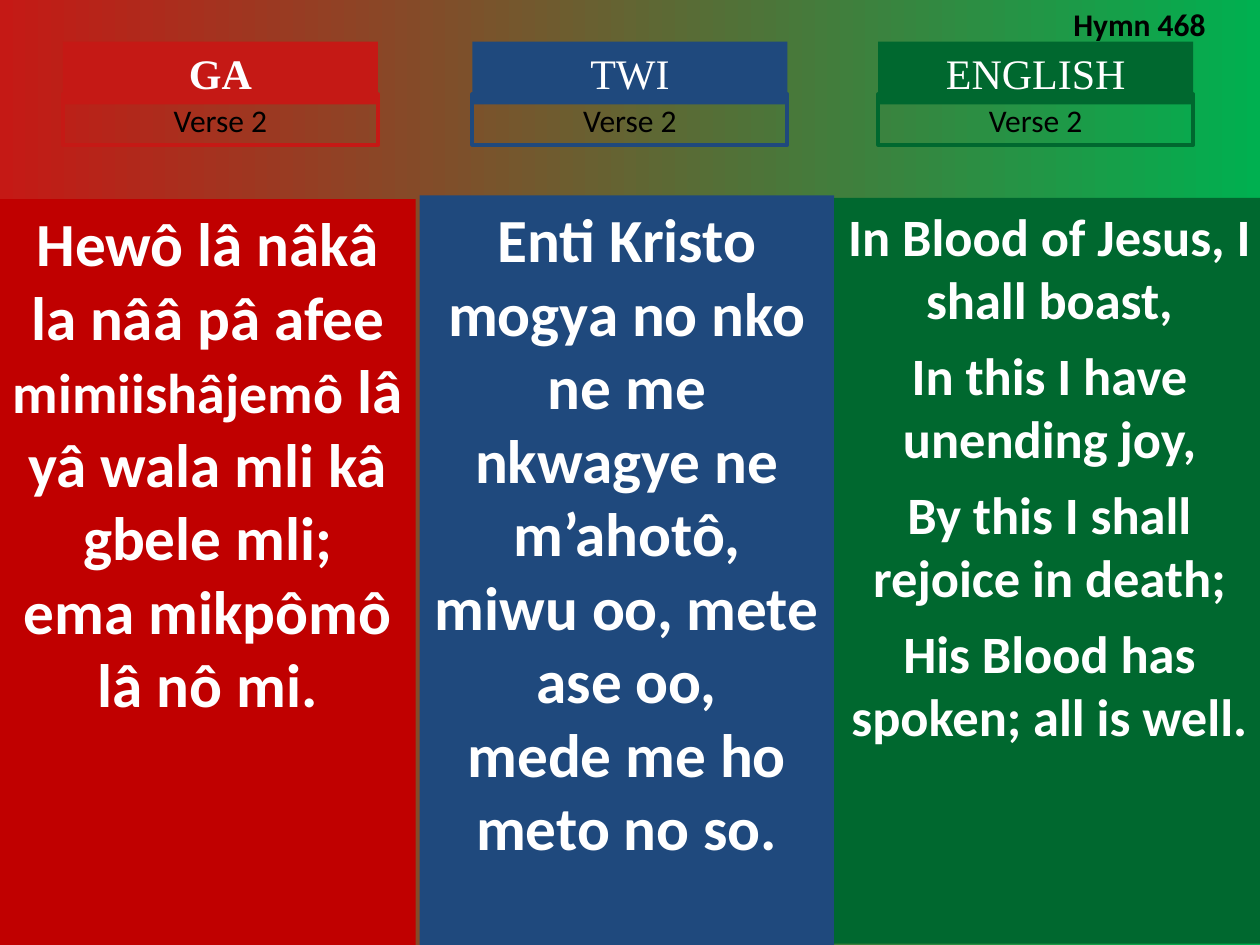
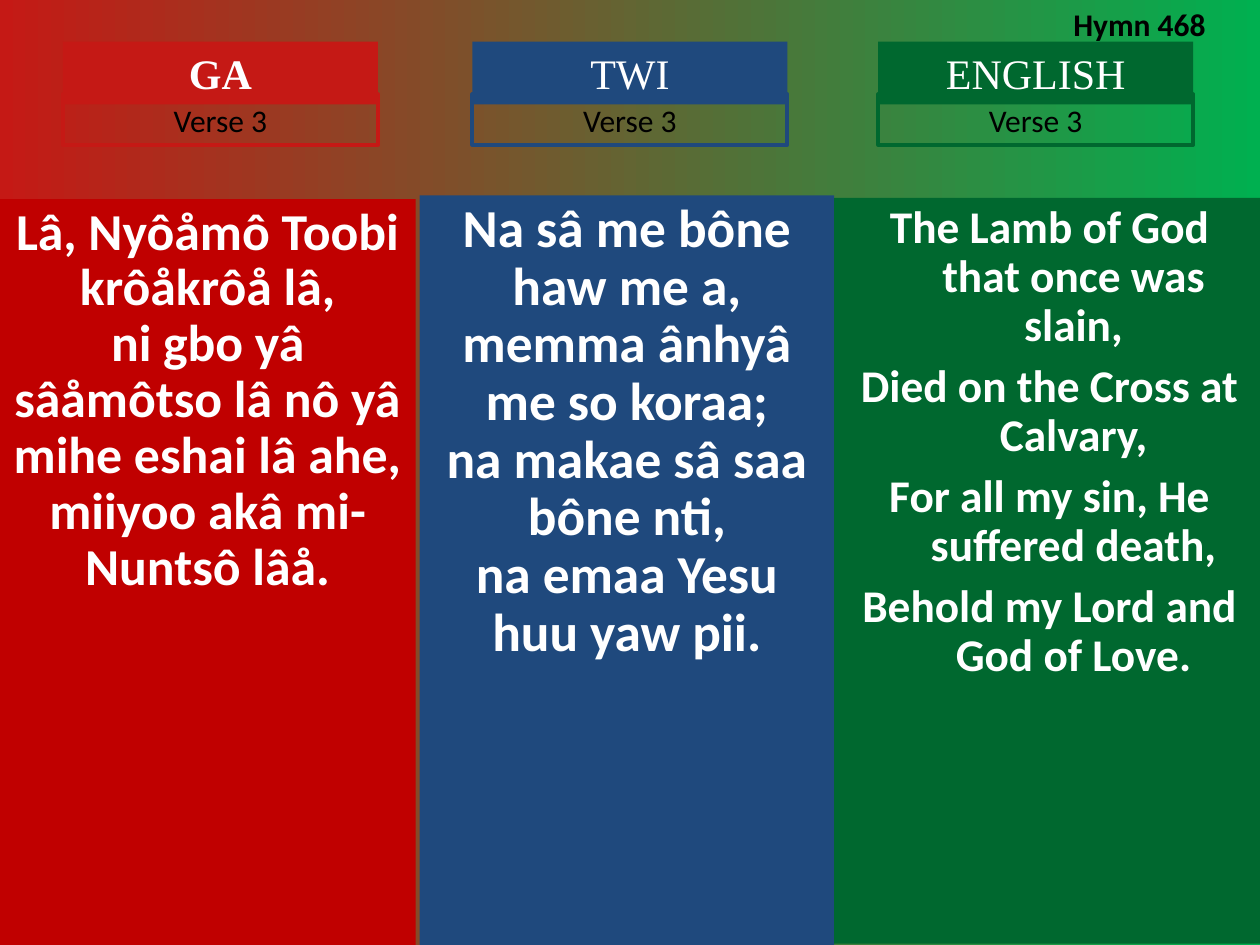
from pptx import Presentation
from pptx.dml.color import RGBColor
from pptx.enum.shapes import MSO_SHAPE as Shape
from pptx.enum.text import MSO_ANCHOR as Anchor, MSO_AUTO_SIZE as AutoSize, PP_ALIGN as Align
from pptx.util import Inches, Pt

COLORS = {
    "red": "C51915", "dark_red": "C00000", "blue": "1F497D", "green": "00682F",
    "bright_green": "00B050", "white": "FFFFFF", "black": "000000",
}
BODY_FONT, HEAD_FONT = "Calibri", "Times New Roman"

# language, bold heading, heading colour, panel colour, heading left, panel box
COLUMNS = [
    ("GA", True, "red", "dark_red", 0.5, (0, 1.58, 3.3, 5.92)),
    ("TWI", False, "blue", "blue", 3.75, (3.33, 1.55, 3.29, 5.95)),
    ("ENGLISH", False, "green", "green", 6.97, (6.62, 1.57, 3.42, 5.92)),
]

# Each lyric: the paragraph style, then its lines; a line is text or (text, size) runs.
VERSES = {
    "Verse 2": [
        (dict(size=35), [
            [("Hewô lâ nâkâ la nââ pâ afee ", 35), ("mimiishâjemô", 32), (" lâ", 35)],
            "yâ wala mli kâ gbele mli;",
            "ema mikpômô lâ nô mi.",
        ]),
        (dict(size=35), [
            "Enti Kristo mogya no nko",
            "ne me nkwagye ne m’ahotô,",
            "miwu oo, mete ase oo,",
            "mede me ho meto no so.",
        ]),
        (dict(size=30, before=7.5), [
            "In Blood of Jesus, I shall boast,",
            "In this I have unending joy,",
            "By this I shall rejoice in death;",
            "His Blood has spoken; all is well.",
        ]),
    ],
    "Verse 3": [
        (dict(size=29.6, spacing=0.9), [
            "Lâ, Nyôåmô Toobi krôåkrôå lâ,",
            "ni gbo yâ sâåmôtso lâ nô yâ",
            "mihe eshai lâ ahe,",
            "miiyoo akâ mi-Nuntsô lâå.",
        ]),
        (dict(size=30.5, spacing=0.9), [
            "Na sâ me bône haw me a,",
            "memma ânhyâ me so koraa;",
            "na makae sâ saa bône nti,",
            "na emaa Yesu huu yaw pii.",
        ]),
        (dict(size=25.9, spacing=0.9, before=7, hanging=0.38), [
            "The Lamb of God that once was slain,",
            "Died on the Cross at Calvary,",
            "For all my sin, He suffered death,",
            "Behold my Lord and God of Love.",
        ]),
    ],
}


def rgb(name):
    return RGBColor.from_string(COLORS[name])


def add_run(p, text, size, color, font=BODY_FONT, bold=False):
    r = p.add_run()
    r.text = text
    r.font.name, r.font.size, r.font.bold = font, Pt(size), bold
    r.font.color.rgb = rgb(color)


def add_box(s, box, fill=None, line=None):
    sp = s.shapes.add_shape(Shape.RECTANGLE, *map(Inches, box))
    sp.shadow.inherit = False
    if fill:
        sp.fill.solid()
        sp.fill.fore_color.rgb = rgb(fill)
    else:
        sp.fill.background()
    if line:
        sp.line.color.rgb = rgb(line)
        sp.line.width = Pt(2.25)
    else:
        sp.line.fill.background()
    tf = sp.text_frame
    tf.word_wrap = True
    tf.vertical_anchor = Anchor.TOP
    tf.paragraphs[0].alignment = Align.CENTER
    return tf


def add_background(s):
    fill = s.background.fill
    fill.gradient()
    fill.gradient_angle = 0
    for stop, (position, color) in zip(fill.gradient_stops, [(0, "red"), (1, "bright_green")]):
        stop.position = position
        stop.color.rgb = rgb(color)


def add_heading(s, left, top, language, bold, color, verse):
    """Language band with the outlined verse label beneath it."""
    band = add_box(s, (left, top, 2.5, 0.5), fill=color)
    add_run(band.paragraphs[0], language, 24, "white", HEAD_FONT, bold)
    label = add_box(s, (left, top + 0.42, 2.5, 0.4), line=color)
    add_run(label.paragraphs[0], verse, 18, "black")
    for tf in (band, label):
        tf.auto_size = AutoSize.SHAPE_TO_FIT_TEXT


def add_lyrics(s, box, color, lines, size, spacing=None, before=0, hanging=0):
    tf = add_box(s, box, fill=color)
    for i, line in enumerate(lines):
        p = tf.add_paragraph() if i else tf.paragraphs[0]
        p.alignment = Align.CENTER
        p.line_spacing = spacing
        p.space_before = Pt(before if i else 0)
        if hanging:
            pPr = p._p.get_or_add_pPr()
            pPr.set("marL", str(Inches(hanging)))
            pPr.set("indent", str(-Inches(hanging)))
        runs = [(line, size)] if isinstance(line, str) else line
        for text, run_size in runs:
            add_run(p, text, run_size, "white", bold=True)


def add_hymn_number(s, left, top, text):
    tf = s.shapes.add_textbox(*map(Inches, (left, top, 1.5, 0.4))).text_frame
    tf.word_wrap = True
    tf.auto_size = AutoSize.SHAPE_TO_FIT_TEXT
    add_run(tf.paragraphs[0], text, 18, "black", bold=True)


def add_verse_slide(prs, verse, lyrics):
    s = prs.slides.add_slide(prs.slide_layouts[6])
    add_background(s)
    for column, (style, lines) in zip(COLUMNS, lyrics):
        language, bold, color, panel_color, left, panel = column
        add_lyrics(s, panel, panel_color, lines, **style)
        add_heading(s, left, 0.33, language, bold, color, verse)
    add_hymn_number(s, 8.42, -0.01, "Hymn 468")


def main():
    prs = Presentation()
    prs.slide_width, prs.slide_height = Inches(10), Inches(7.5)
    for verse, lyrics in VERSES.items():
        add_verse_slide(prs, verse, lyrics)
    prs.save("out.pptx")


if __name__ == "__main__":
    main()
